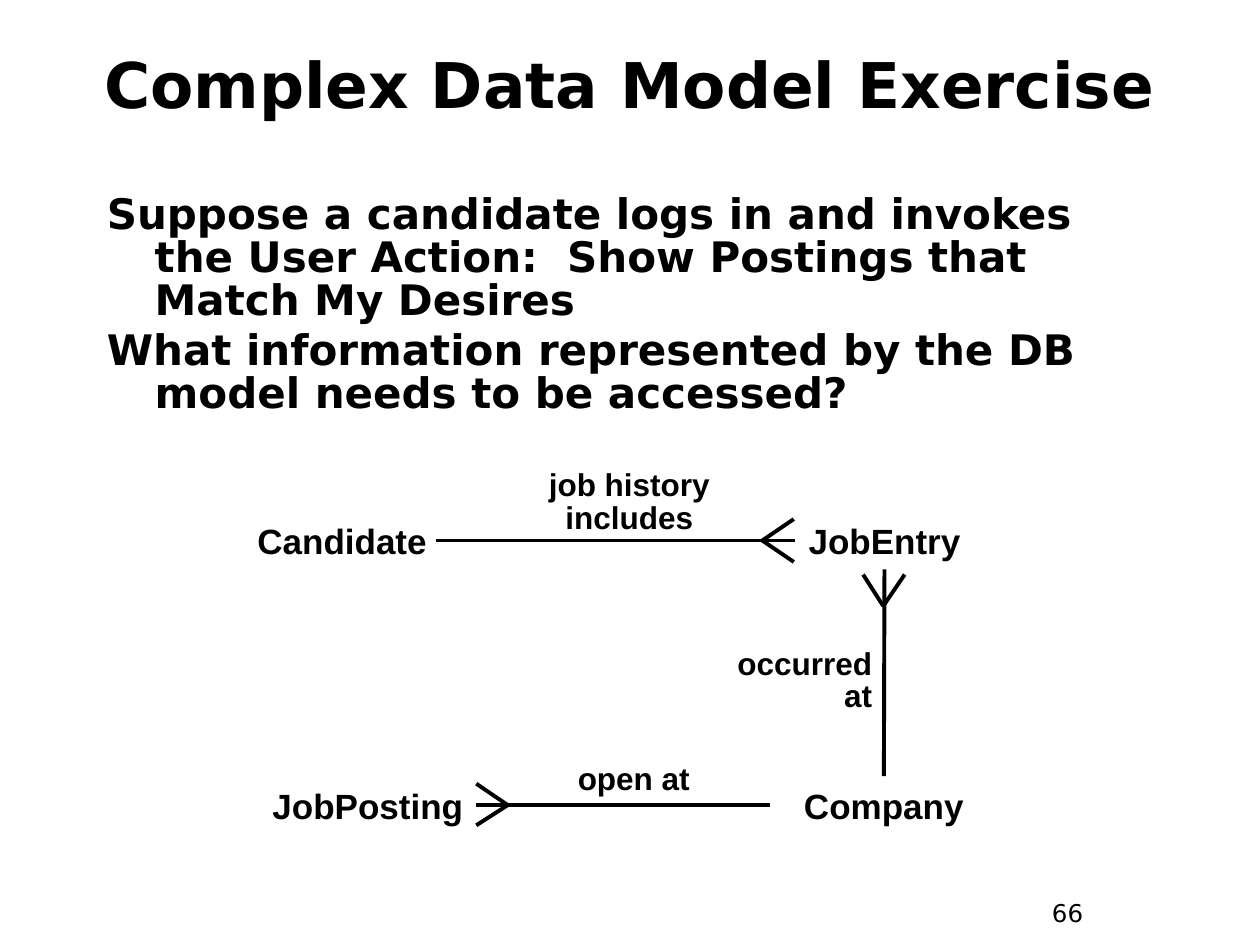
from typing import NamedTuple

from lxml import etree
from pptx import Presentation
from pptx.dml.color import RGBColor
from pptx.enum.shapes import MSO_CONNECTOR, MSO_SHAPE
from pptx.enum.text import MSO_ANCHOR, MSO_AUTO_SIZE, PP_ALIGN
from pptx.oxml.ns import qn
from pptx.util import Inches, Pt

LEFT, MID, RIGHT = PP_ALIGN.LEFT, PP_ALIGN.CENTER, PP_ALIGN.RIGHT
TOP, MIDDLE = MSO_ANCHOR.TOP, MSO_ANCHOR.MIDDLE
FIT = MSO_AUTO_SIZE.SHAPE_TO_FIT_TEXT
RECT, LINE = MSO_SHAPE.RECTANGLE, MSO_CONNECTOR.STRAIGHT
COLORS = {"ink": "000000", "paper": "FFFFFF"}
SANS, ARIAL = "DejaVu Sans", "Arial"


class Box(NamedTuple):
    left: float
    top: float
    width: float
    height: float


class Text(NamedTuple):
    box: Box
    lines: list[str]
    size: int
    font: str = SANS
    bold: bool = True
    align: PP_ALIGN = LEFT
    anchor: MSO_ANCHOR = TOP
    pitch: float = 1.0
    gap: float = 0
    hang: float = 0
    grow: bool = False


class Node(NamedTuple):
    name: str
    box: Box


class Link(NamedTuple):
    start: str
    side: int
    end: str
    port: int


class Fork(NamedTuple):
    tip: tuple[float, float]
    toes: list[tuple[float, float]]


def label(text: str, box: Box, align: PP_ALIGN) -> Text:
    return Text(box, [text], 18, ARIAL, align=align, pitch=0.85, grow=True)


TEXTS = [
    Text(Box(8.25, 7.08, 0.75, 0.37), ["66"], 14, bold=False, grow=True),
    Text(Box(0.33, 0.25, 9.33, 0.83), ["Complex Data Model Exercise"], 36,
         align=MID, anchor=MIDDLE),
    Text(Box(0.75, 1.5, 8.5, 1.92), [
        "Suppose a candidate logs in and invokes\n"
        "the User Action:  Show Postings that Match My Desires",
        "What information represented by the DB model needs to be accessed?",
    ], 24, pitch=0.85, gap=4.5, hang=0.38),
]
NODES = [
    Node("Candidate", Box(1.97, 4.06, 1.49, 0.46)),
    Node("JobPosting", Box(2.06, 6.11, 1.72, 0.56)),
    Node("JobEntry", Box(6.31, 4.06, 1.42, 0.46)),
    Node("Company", Box(6.11, 6.16, 1.81, 0.46)),
]
LINKS = [
    Link("Candidate", 3, "JobEntry", 1),
    Link("JobEntry", 2, "Company", 0),
    Link("JobPosting", 3, "Company", 1),
]
FORKS = [
    Fork((6.05, 4.29), [(6.3, 4.12), (6.3, 4.46)]),
    Fork((7.01, 4.81), [(7.18, 4.56), (6.85, 4.56)]),
    Fork((4.03, 6.39), [(3.78, 6.22), (3.78, 6.55)]),
]
LABELS = [
    label("job history includes", Box(3.83, 3.69, 2.33, 0.61), MID),
    label("open at", Box(4.17, 6.02, 1.72, 0.36), MID),
    label("occurred\nat", Box(5.53, 5.11, 1.49, 0.61), RIGHT),
]


def color(name: str) -> RGBColor:
    return RGBColor.from_string(COLORS[name])


def place(box: Box) -> list:
    return [Inches(side) for side in box]


def write(frame, text: Text) -> None:
    frame.vertical_anchor = text.anchor
    for row, line in enumerate(text.lines):
        para = frame.add_paragraph() if row else frame.paragraphs[0]
        para.text = line
        para.alignment = text.align
        para.line_spacing = text.pitch
        if row:
            para.space_before = Pt(text.gap)
        if text.hang:
            props = para._p.get_or_add_pPr()
            props.set("marL", str(Inches(text.hang)))
            props.set("indent", str(-Inches(text.hang)))
        font = para.font
        font.name, font.size, font.bold = text.font, Pt(text.size), text.bold
        font.color.rgb = color("ink")


def add_text(shapes, text: Text) -> None:
    frame = shapes.add_textbox(*place(text.box)).text_frame
    frame.word_wrap = True
    if text.grow:
        frame.auto_size = FIT
    write(frame, text)


def add_node(shapes, node: Node):
    shape = shapes.add_shape(RECT, *place(node.box))
    shape.shadow.inherit = False
    shape.fill.solid()
    shape.fill.fore_color.rgb = color("paper")
    shape.line.fill.background()
    shape.text_frame.word_wrap = False
    write(shape.text_frame,
          Text(node.box, [node.name], 20, ARIAL, align=MID, anchor=MIDDLE))
    return shape


def add_line(shapes, start: tuple[float, float], end: tuple[float, float]):
    line = shapes.add_connector(LINE, *map(Inches, start + end))
    line.line.color.rgb = color("ink")
    line.line.width = Pt(2.25)
    etree.SubElement(line._element.spPr, qn("a:effectLst"))
    return line


def add_link(shapes, link: Link, nodes: dict) -> None:
    line = add_line(shapes, (0, 0), (0, 0))
    line.begin_connect(nodes[link.start], link.side)
    line.end_connect(nodes[link.end], link.port)


def add_fork(shapes, fork: Fork) -> None:
    group = shapes.add_group_shape()
    for toe in fork.toes:
        add_line(group.shapes, fork.tip, toe)


def main() -> None:
    deck = Presentation()
    deck.slide_width, deck.slide_height = Inches(10), Inches(7.5)
    shapes = deck.slides.add_slide(deck.slide_layouts[6]).shapes
    for text in TEXTS:
        add_text(shapes, text)
    nodes = {node.name: add_node(shapes, node) for node in NODES}
    for link in LINKS:
        add_link(shapes, link, nodes)
    for fork in FORKS:
        add_fork(shapes, fork)
    for text in LABELS:
        add_text(shapes, text)
    deck.save("out.pptx")


if __name__ == "__main__":
    main()
